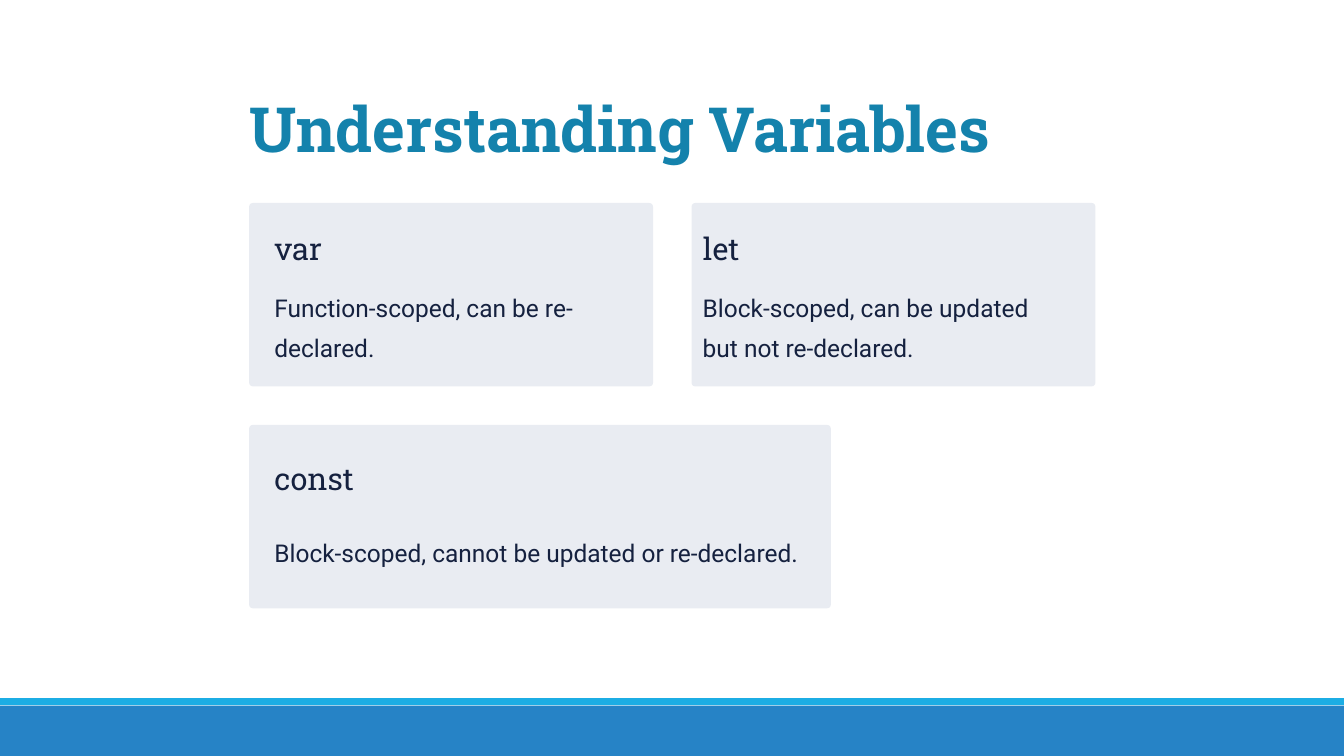
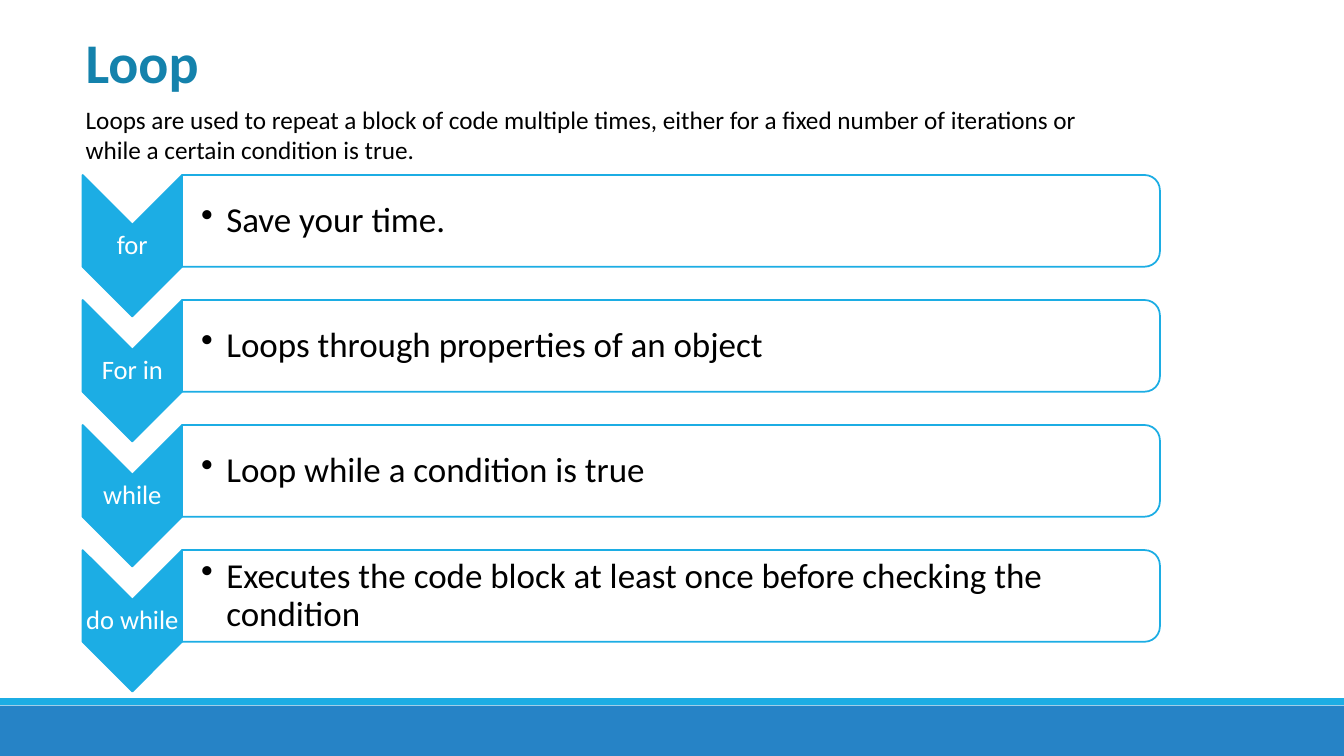
from dataclasses import dataclass

from lxml import etree
from pptx import Presentation
from pptx.dml.color import RGBColor
from pptx.enum.shapes import MSO_SHAPE as Preset
from pptx.enum.text import MSO_ANCHOR as Anchor, MSO_AUTO_SIZE as AutoSize, PP_ALIGN as Align
from pptx.oxml.ns import qn
from pptx.util import Pt

# Shared look
BLUE = RGBColor(0x26, 0x83, 0xC6)
SKY = RGBColor(0x1C, 0xAD, 0xE4)
TEAL = RGBColor(0x14, 0x82, 0xAC)
NAVY = RGBColor(0x15, 0x21, 0x3F)
MIST = RGBColor(0xE9, 0xEC, 0xF2)
WHITE = RGBColor(0xFF, 0xFF, 0xFF)
BLACK = RGBColor(0x00, 0x00, 0x00)
SLIDE_W, SLIDE_H = 960, 540
TITLE_AND_BODY, TITLE_ONLY = 1, 5


@dataclass(frozen=True)
class Box:
    left: float
    top: float
    width: float
    height: float

    def turned(self) -> "Box":
        """Frame that covers this box once rotated by a quarter turn."""
        shift = (self.width - self.height) / 2
        return Box(self.left + shift, self.top - shift, self.height, self.width)

    def lengths(self) -> tuple:
        return tuple(Pt(n) for n in (self.left, self.top, self.width, self.height))


@dataclass(frozen=True)
class Style:
    font: str
    size: float
    color: RGBColor
    bold: bool = False
    spacing: float | Pt = 1.0
    align: Align = Align.LEFT
    anchor: Anchor = Anchor.TOP
    insets: tuple = (0, 0, 0, 0)
    bullet_indent: float = 0


@dataclass(frozen=True)
class Card:
    keyword: str
    rule: str
    box: Box
    inset: float = 18
    keyword_drop: float = 18
    rule_drop: float = 57


@dataclass(frozen=True)
class Loop:
    keyword: str
    purpose: str


PLACEHOLDER_INSETS = (7.2, 3.6, 7.2, 3.6)
VARIABLES_TITLE = Style("Roboto Slab", 44.5, TEAL, bold=True, spacing=Pt(55.5))
CARD_KEYWORD = Style("Roboto Slab", 22, NAVY, spacing=Pt(27.5))
CARD_RULE = Style("Roboto", 17.5, NAVY, spacing=Pt(28.5))
LOOP_TITLE = Style("Calibri", 40, TEAL, bold=True, insets=PLACEHOLDER_INSETS)
LOOP_INTRO = Style("Calibri", 18, BLACK, insets=PLACEHOLDER_INSETS)
LOOP_KEYWORD = Style("Calibri", 19, WHITE, spacing=0.9, align=Align.CENTER,
                     anchor=Anchor.MIDDLE, insets=(0.7, 0.7, 0.7, 0.7))
LOOP_PURPOSE = Style("Calibri", 25, BLACK, spacing=0.9, anchor=Anchor.MIDDLE,
                     insets=(13.7, 1.4, 4, 1.4), bullet_indent=18)

# Content
CARD_LEFT, CARD_TOP, CARD_W, CARD_H, CARD_GAP = 178, 145, 288.5, 131, 27.5
CARDS = (
    Card("var", "Function-scoped, can be re-declared.",
         Box(CARD_LEFT, CARD_TOP, CARD_W, CARD_H)),
    Card("let", "Block-scoped, can be updated but not re-declared.",
         Box(CARD_LEFT + CARD_W + CARD_GAP, CARD_TOP, CARD_W, CARD_H), inset=8),
    Card("const", "Block-scoped, cannot be updated or re-declared.",
         Box(CARD_LEFT, CARD_TOP + CARD_H + CARD_GAP, 415.5, CARD_H),
         keyword_drop=24, rule_drop=73),
)
LOOPS = (
    Loop("for", "Save your time."),
    Loop("For in", "Loops through properties of an object"),
    Loop("while", "Loop while a condition is true"),
    Loop("do while", "Executes the code block at least once before checking the condition"),
)
LOOP_LEFT, LOOP_TOP, LOOP_PITCH = 59, 125, 89.3
CHEVRON_W, CHEVRON_H = 71, 101
PANEL_W, PANEL_H = 698.5, 65.5


def add_preset(slide, preset: Preset, box: Box, fill: RGBColor,
               line: RGBColor | None = None, quarter_turn: bool = False):
    frame = box.turned() if quarter_turn else box
    shape = slide.shapes.add_shape(preset, *frame.lengths())
    shape.shadow.inherit = False
    shape.fill.solid()
    shape.fill.fore_color.rgb = fill
    if line is None:
        shape.line.fill.background()
    else:
        shape.line.color.rgb = line
        shape.line.width = Pt(1.25)
    if quarter_turn:
        shape.rotation = 90
    return shape


def set_bullet(paragraph, indent: float) -> None:
    """Hang a bullet by the indent, or remove it when the indent is zero."""
    properties = paragraph._p.get_or_add_pPr()
    properties.set("marL", str(Pt(indent)))
    properties.set("indent", str(Pt(-indent)))
    if indent:
        etree.SubElement(properties, qn("a:buChar")).set("char", "•")
    else:
        etree.SubElement(properties, qn("a:buNone"))


def write(holder, box: Box, text: str, style: Style) -> None:
    """Place a text box or placeholder and fill it with one styled paragraph."""
    holder.left, holder.top, holder.width, holder.height = box.lengths()
    frame = holder.text_frame
    frame.word_wrap = True
    frame.auto_size = AutoSize.NONE
    frame.vertical_anchor = style.anchor
    (frame.margin_left, frame.margin_top,
     frame.margin_right, frame.margin_bottom) = (Pt(n) for n in style.insets)
    frame.text = text
    paragraph = frame.paragraphs[0]
    set_bullet(paragraph, style.bullet_indent)
    paragraph.alignment = style.align
    paragraph.line_spacing = style.spacing
    paragraph.space_before = Pt(0)
    font = paragraph.font
    font.name, font.size, font.bold = style.font, Pt(style.size), style.bold
    font.color.rgb = style.color


def add_text(slide, box: Box, text: str, style: Style) -> None:
    write(slide.shapes.add_textbox(*box.lengths()), box, text, style)


def add_master_bands(prs, slide) -> None:
    """Draw the footer bands and move them to the back of the master."""
    bands = ((Box(0, 504, SLIDE_W, 36), BLUE), (Box(0, 498.7, SLIDE_W, 5), SKY))
    for position, (box, color) in enumerate(bands, start=2):
        band = add_preset(slide, Preset.RECTANGLE, box, color)
        prs.slide_master.shapes.element.insert(position, band.element)


def add_card(slide, card: Card) -> None:
    box = card.box
    panel = add_preset(slide, Preset.ROUNDED_RECTANGLE, box, MIST)
    panel.adjustments[0] = 0.02
    left, width = box.left + card.inset, box.width - 36
    add_text(slide, Box(left, box.top + card.keyword_drop, width, 28),
             card.keyword, CARD_KEYWORD)
    add_text(slide, Box(left, box.top + card.rule_drop, width, 57),
             card.rule, CARD_RULE)


def add_loop(slide, loop: Loop, top: float) -> None:
    chevron = Box(LOOP_LEFT, top, CHEVRON_W, CHEVRON_H)
    panel = Box(LOOP_LEFT + CHEVRON_W, top, PANEL_W, PANEL_H)
    add_preset(slide, Preset.CHEVRON, chevron, SKY, SKY, quarter_turn=True)
    add_text(slide, chevron, loop.keyword, LOOP_KEYWORD)
    add_preset(slide, Preset.ROUND_2_SAME_RECTANGLE, panel, WHITE, SKY, quarter_turn=True)
    add_text(slide, panel, loop.purpose, LOOP_PURPOSE)


def build_variables(prs):
    slide = prs.slides.add_slide(prs.slide_layouts[TITLE_ONLY])
    write(slide.shapes.title, Box(CARD_LEFT, 62.5, 600, 56),
          "Understanding Variables", VARIABLES_TITLE)
    for card in CARDS:
        add_card(slide, card)
    return slide


def build_loops(prs) -> None:
    slide = prs.slides.add_slide(prs.slide_layouts[TITLE_AND_BODY])
    write(slide.shapes.title, Box(54, 16, 163, 55), "Loop", LOOP_TITLE)
    write(slide.placeholders[1], Box(54, 71, 762, 51),
          "Loops are used to repeat a block of code multiple times, either for a fixed "
          "number of iterations or while a certain condition is true.", LOOP_INTRO)
    for row, loop in enumerate(LOOPS):
        add_loop(slide, loop, LOOP_TOP + row * LOOP_PITCH)


def main() -> None:
    prs = Presentation()
    prs.slide_width, prs.slide_height = Pt(SLIDE_W), Pt(SLIDE_H)
    variables = build_variables(prs)
    add_master_bands(prs, variables)
    build_loops(prs)
    prs.save("out.pptx")


if __name__ == "__main__":
    main()
